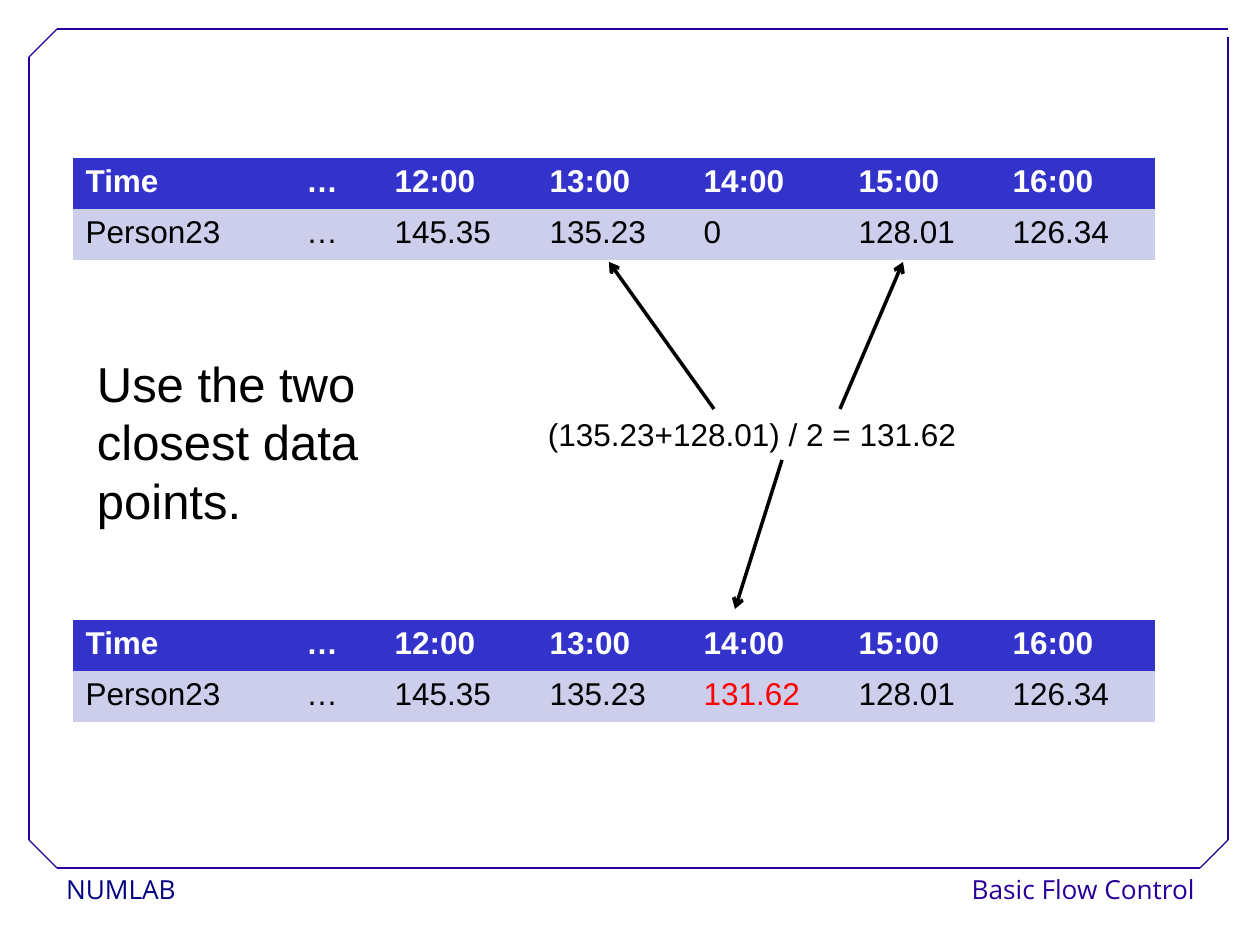
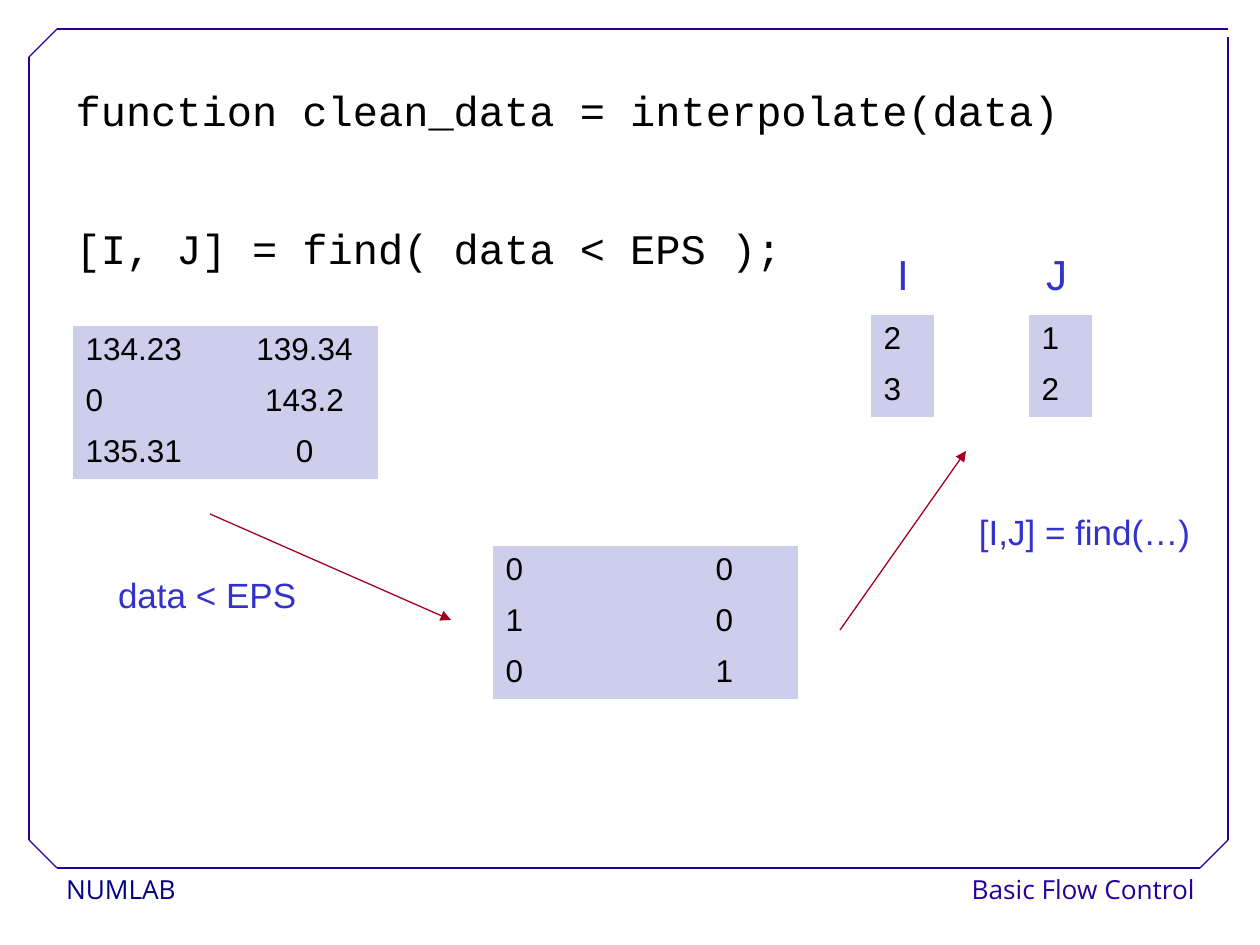
import dataclasses

import lxml.etree
import pptx
import pptx.dml.color
import pptx.enum.shapes
import pptx.enum.text
import pptx.oxml.ns
import pptx.util

ALIGN = pptx.enum.text.PP_ALIGN
ANCHOR = pptx.enum.text.MSO_ANCHOR
AUTO = pptx.enum.text.MSO_AUTO_SIZE
SHAPE = pptx.enum.shapes.MSO_SHAPE
CONNECTOR = pptx.enum.shapes.MSO_CONNECTOR
qn = pptx.oxml.ns.qn

PX_PER_INCH = 126
BLANK_LAYOUT = 6
BODY_LAYOUT = 1
NO_TABLE_STYLE = "{2D5ABB26-0587-4C30-8999-92F81FD0307C}"


@dataclasses.dataclass(frozen=True)
class Theme:
    white: str = "FFFFFF"
    black: str = "000000"
    blue: str = "3333CC"
    pale: str = "CDCDEC"
    red: str = "FF0000"
    crimson: str = "A50021"
    frame: str = "280099"
    navy: str = "000080"
    font: str = "Arial"
    code_font: str = "Courier New"
    footer_font: str = "Open Sans"
    footer: int = 15
    cell: int = 18
    label: int = 20
    code: int = 24
    large: int = 28
    thin: float = 0.75
    thick: float = 2


def px(n):
    return pptx.util.Emu(round(n * 914400 / PX_PER_INCH))


def rgb(color):
    return pptx.dml.color.RGBColor.from_string(color)


class Deck:
    def __init__(self, theme):
        self.theme = theme
        self.prs = pptx.Presentation()
        self.prs.slide_width = px(1260)
        self.prs.slide_height = px(945)
        self.s = None

    def slide(self, layout):
        self.s = self.prs.slides.add_slide(self.prs.slide_layouts[layout])
        if self.s.shapes.title is not None:
            title = self.s.shapes.title._element
            title.getparent().remove(title)
        self.footer("NUMLAB", (55, 868, 246, 47), self.theme.navy, ALIGN.LEFT)
        self.footer("Basic Flow Control", (1046, 868, 160, 47), self.theme.frame, ALIGN.RIGHT)
        self.frame()

    def run(self, p, text, size, color, font=None, bold=False):
        r = p.add_run()
        r.text = text
        r.font.name = font or self.theme.font
        r.font.size = pptx.util.Pt(size)
        r.font.bold = bold
        r.font.color.rgb = rgb(color)

    def footer(self, text, box, color, align):
        sp = self.s.shapes.add_shape(SHAPE.RECTANGLE, *map(px, box))
        sp.shadow.inherit = False
        sp.fill.solid()
        sp.fill.fore_color.rgb = rgb(self.theme.white)
        sp.line.fill.background()
        tf = sp.text_frame
        tf.word_wrap = False
        tf.vertical_anchor = ANCHOR.TOP
        tf.margin_left = tf.margin_right = px(11)
        tf.margin_top = tf.margin_bottom = px(5)
        p = tf.paragraphs[0]
        p.alignment = align
        p.line_spacing = 1.02
        self.run(p, text, self.theme.footer, color, self.theme.footer_font)

    def frame(self):
        left, top, right, bottom, cut = 29, 29, 1228, 868, 28
        edges = [
            ((left + cut, bottom), (right - cut, bottom)),
            ((left, bottom - cut), (left, top + cut)),
            ((left + cut, top), (right, top)),
            ((right, bottom - cut), (right, top + 8)),
            ((left, top + cut), (left + cut, top)),
            ((right - cut, bottom), (right, bottom - cut)),
            ((left, bottom - cut), (left + cut, bottom)),
        ]
        for start, end in edges:
            self.line(start, end, self.theme.frame, self.theme.thin)

    def line(self, start, end, color, width, head=None):
        c = self.s.shapes.add_connector(CONNECTOR.STRAIGHT, *map(px, start + end))
        c.line.color.rgb = rgb(color)
        c.line.width = pptx.util.Pt(width)
        if head:
            ln = c.line._get_or_add_ln()
            lxml.etree.SubElement(ln, qn("a:tailEnd"), type=head)
        lxml.etree.SubElement(c._element.spPr, qn("a:effectLst"))
        return c

    def text(self, text, box, size, color, tab=None, inset=13):
        sp = self.s.shapes.add_textbox(*map(px, box))
        tf = sp.text_frame
        tf.word_wrap = True
        tf.auto_size = AUTO.SHAPE_TO_FIT_TEXT
        tf.margin_left = px(inset)
        p = tf.paragraphs[0]
        if tab:
            tabs = lxml.etree.SubElement(p._p.get_or_add_pPr(), qn("a:tabLst"))
            lxml.etree.SubElement(tabs, qn("a:tab"), pos=str(px(tab)), algn="l")
        self.run(p, text, size, color)
        return sp

    def table(self, rows, left, top, widths, header=False, centred=1, highlight=None):
        t = self.theme
        row_height = 51
        gf = self.s.shapes.add_table(len(rows), len(widths), px(left), px(top),
                                     px(sum(widths)), px(row_height * len(rows)))
        table = gf.table
        table.first_row = header
        table.horz_banding = False
        table._tbl.tblPr.find(qn("a:tableStyleId")).text = NO_TABLE_STYLE
        for column, width in zip(table.columns, widths):
            column.width = px(width)
        for i, row in enumerate(rows):
            is_head = header and i == 0
            table.rows[i].height = px(row_height)
            for j, value in enumerate(row):
                cell = table.cell(i, j)
                cell.fill.solid()
                cell.fill.fore_color.rgb = rgb(t.blue if is_head else t.pale)
                p = cell.text_frame.paragraphs[0]
                p.alignment = ALIGN.CENTER if j == centred else ALIGN.LEFT
                color = t.white if is_head else t.red if (i, j) == highlight else t.black
                self.run(p, value, t.cell, color, bold=is_head)

    def code(self, lines, box, gap):
        body = self.s.placeholders[1]
        body.left, body.top, body.width, body.height = map(px, box)
        tf = body.text_frame
        tf.auto_size = AUTO.NONE
        for i, text in enumerate(lines):
            p = tf.add_paragraph() if i else tf.paragraphs[0]
            pPr = p._p.get_or_add_pPr()
            pPr.set("marL", "0")
            pPr.set("indent", "0")
            lxml.etree.SubElement(pPr, qn("a:buNone"))
            p.line_spacing = 0.9
            p.space_before = pptx.util.Pt(gap if i else 0)
            p.space_after = pptx.util.Pt(12.9)
            self.run(p, text, self.theme.code, self.theme.black, self.theme.code_font)


def closest_points_slide(deck):
    t = deck.theme
    deck.slide(BLANK_LAYOUT)
    times = ["Time", "…"] + [f"{hour}:00" for hour in range(12, 17)]
    widths = [189, 120, 155, 154, 155, 154, 155]
    for top, value, highlight in [(158, "0", None), (620, "131.62", (1, 4))]:
        person = ["Person23", "…", "145.35", "135.23", value, "128.01", "126.34"]
        deck.table([times, person], 73, top, widths, header=True, highlight=highlight)
    for start, end in [((714, 409), (609, 262)), ((840, 409), (903, 262))]:
        deck.line(start, end, t.black, t.thick, "arrow")
    average = deck.text("(135.23+128.01) / 2 = 131.62", (535, 409, 494, 51), t.cell, t.black)
    result = deck.line((782, 460), (735, 609), t.black, t.thick, "arrow")
    result.begin_connect(average, 2)
    deck.text("Use the two closest data points.", (84, 347, 378, 189), t.large, t.black)


def interpolate_slide(deck):
    t = deck.theme
    deck.slide(BODY_LAYOUT)
    deck.code(["function clean_data = interpolate(data)", "[I, J] = find( data < EPS );"],
              (63, 84, 1134, 252), 40.3)
    data = [["134.23", "139.34"], ["0", "143.2"], ["135.31", "0"]]
    mask = [["0", "0"], ["1", "0"], ["0", "1"]]
    deck.table(data, 73, 326, [158, 147])
    deck.table(mask, 493, 546, [158, 147])
    deck.table([["2"], ["3"]], 871, 315, [63])
    deck.table([["1"], ["2"]], 1029, 315, [63])
    deck.line((210, 514), (451, 620), t.crimson, t.thin, "triangle")
    deck.text("data < EPS", (105, 567, 231, 55), t.label, t.blue)
    deck.line((840, 630), (966, 451), t.crimson, t.thin, "triangle")
    deck.text("[I,J] = find(…)", (966, 504, 242, 55), t.label, t.blue)
    deck.text("I\tJ", (861, 242, 231, 63), t.code, t.blue, tab=149, inset=36)


def main():
    deck = Deck(Theme())
    closest_points_slide(deck)
    interpolate_slide(deck)
    deck.prs.save("out.pptx")


if __name__ == "__main__":
    main()
